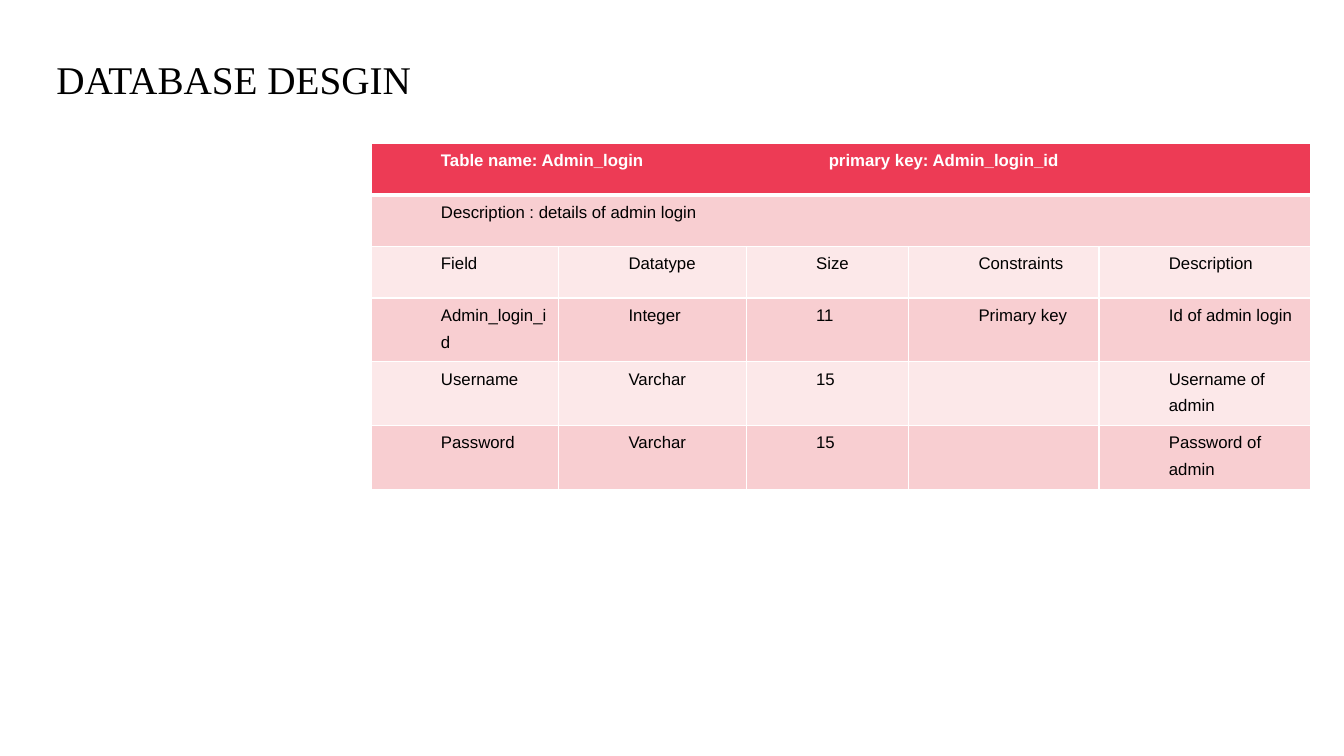
from dataclasses import dataclass

from lxml.etree import SubElement
from pptx import Presentation
from pptx.dml.color import RGBColor as RGB
from pptx.enum.text import MSO_ANCHOR, MSO_AUTO_SIZE as AutoSize, PP_ALIGN
from pptx.oxml.ns import qn
from pptx.util import Pt


@dataclass(frozen=True)
class Theme:
    title_font: str = "Times New Roman"
    table_font: str = "Arial"
    title_size: int = 28
    table_size: int = 12
    ink: str = "000000"
    paper: str = "FFFFFF"
    header: str = "ED3B55"
    dark_band: str = "F8CED1"
    light_band: str = "FCE8E9"


THEME = Theme()
COLUMN_WIDTHS = (134, 134, 116, 136, 151)
ROW_HEIGHTS = (36.8, 36.8, 36.8, 45.5, 45.5, 45.5)
KEY_TAB = 277
ROWS = (
    ("Table name: Admin_login\tprimary key: Admin_login_id",),
    ("Description : details of admin login",),
    ("Field", "Datatype", "Size", "Constraints", "Description"),
    ("Admin_login_id", "Integer", "11", "Primary key", "Id of admin login"),
    ("Username", "Varchar", "15", "", "Username of admin"),
    ("Password", "Varchar", "15", "", "Password of admin"),
)


def set_attributes(target, values):
    for name, value in values.items():
        setattr(target, name, value)


def format_font(font, name, size, color, bold=False):
    set_attributes(font, {"name": name, "size": Pt(size), "bold": bold})
    font.color.rgb = RGB.from_string(color)


def add_title(slide, text):
    title = slide.shapes.title
    set_attributes(title, {"left": Pt(33), "top": Pt(36),
                           "width": Pt(271), "height": Pt(41)})
    frame = title.text_frame
    set_attributes(frame, {"text": text, "word_wrap": False,
                           "auto_size": AutoSize.SHAPE_TO_FIT_TEXT,
                           "vertical_anchor": MSO_ANCHOR.TOP})
    paragraph = frame.paragraphs[0]
    paragraph.alignment = PP_ALIGN.LEFT
    format_font(paragraph.runs[0].font, THEME.title_font,
                THEME.title_size, THEME.ink)


def add_borders(cell, widths):
    """Draw solid borders; widths maps each side (L, R, T, B) to points."""
    properties = cell._tc.get_or_add_tcPr()
    for side, width in widths.items():
        line = SubElement(properties, qn(f"a:ln{side}"), w=str(Pt(width)))
        fill = SubElement(line, qn("a:solidFill"))
        SubElement(fill, qn("a:srgbClr"), val=THEME.paper)


def add_tab_stop(paragraph, position):
    tabs = SubElement(paragraph._p.get_or_add_pPr(), qn("a:tabLst"))
    SubElement(tabs, qn("a:tab"), pos=str(Pt(position)), algn="l")


def format_cell(cell, row):
    add_borders(cell, {"L": 1, "R": 1, "T": 3 if row == 1 else 1,
                       "B": 3 if row == 0 else 1})
    band = THEME.dark_band if row % 2 else THEME.light_band
    cell.fill.solid()
    cell.fill.fore_color.rgb = RGB.from_string(band if row else THEME.header)
    set_attributes(cell, {"margin_left": Pt(50), "margin_right": Pt(5),
                          "margin_top": 0, "margin_bottom": 0})


def write_cell(cell, text, is_header):
    paragraph = cell.text_frame.paragraphs[0]
    paragraph.line_spacing = 1.43
    if "\t" in text:
        add_tab_stop(paragraph, KEY_TAB)
    run = paragraph.add_run()
    run.text = text
    format_font(run.font, THEME.table_font, THEME.table_size,
                THEME.paper if is_header else THEME.ink, is_header)


def add_field_table(slide):
    frame = slide.shapes.add_table(
        len(ROWS), len(COLUMN_WIDTHS), Pt(265), Pt(102.5),
        Pt(sum(COLUMN_WIDTHS)), Pt(sum(ROW_HEIGHTS)))
    table = frame.table
    set_attributes(table, {"first_row": False, "horz_banding": False})
    for column, width in zip(table.columns, COLUMN_WIDTHS):
        column.width = Pt(width)
    for index, (texts, height) in enumerate(zip(ROWS, ROW_HEIGHTS)):
        row = table.rows[index]
        row.height = Pt(height)
        for cell in row.cells:
            format_cell(cell, index)
        if len(texts) == 1:
            table.cell(index, 0).merge(table.cell(index, len(COLUMN_WIDTHS) - 1))
        for cell, text in zip(row.cells, texts):
            if text:
                write_cell(cell, text, index == 0)


def main():
    presentation = Presentation()
    set_attributes(presentation, {"slide_width": Pt(960),
                                  "slide_height": Pt(540)})
    slide = presentation.slides.add_slide(presentation.slide_layouts[5])
    add_title(slide, "DATABASE DESGIN")
    add_field_table(slide)
    presentation.save("out.pptx")


if __name__ == "__main__":
    main()
